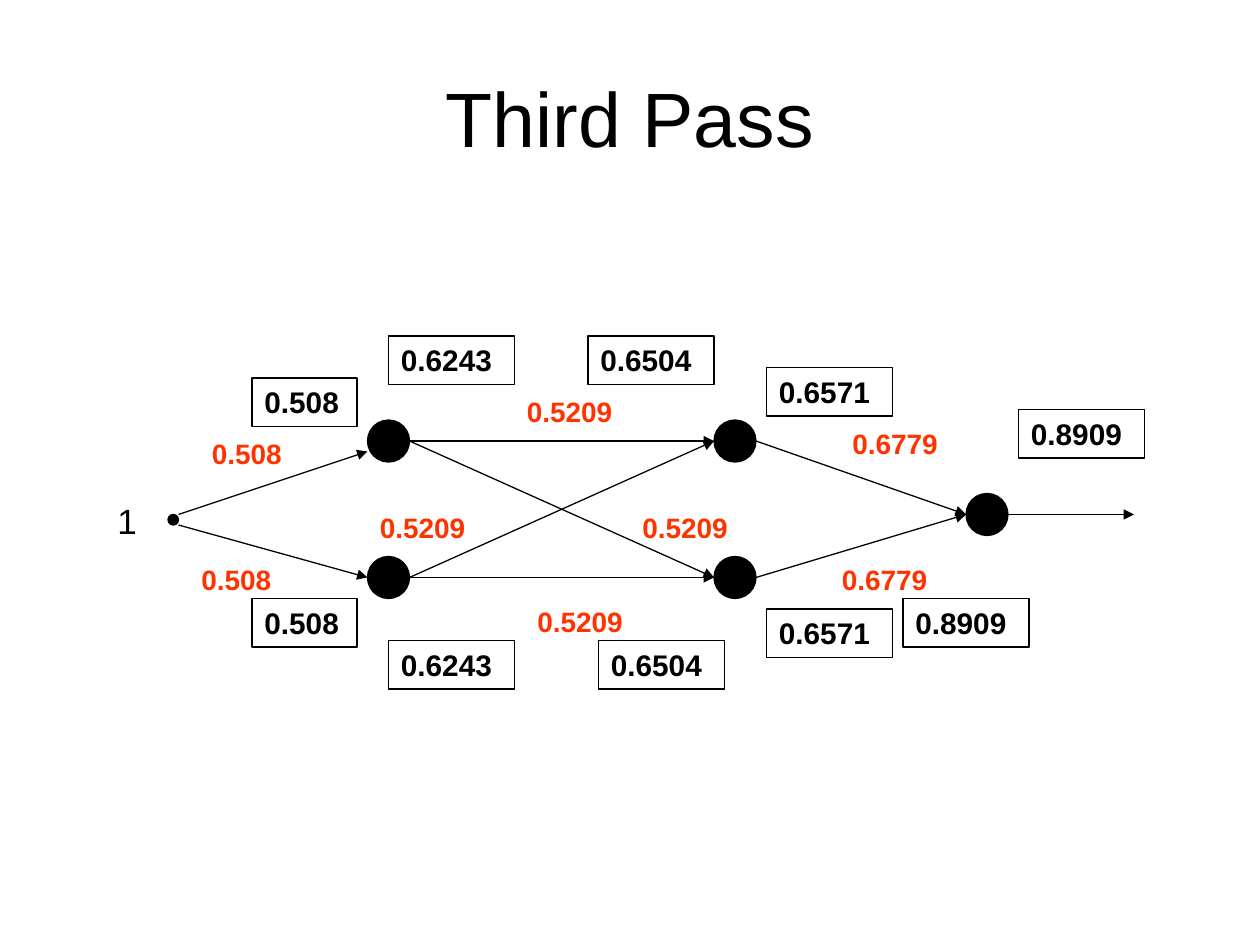
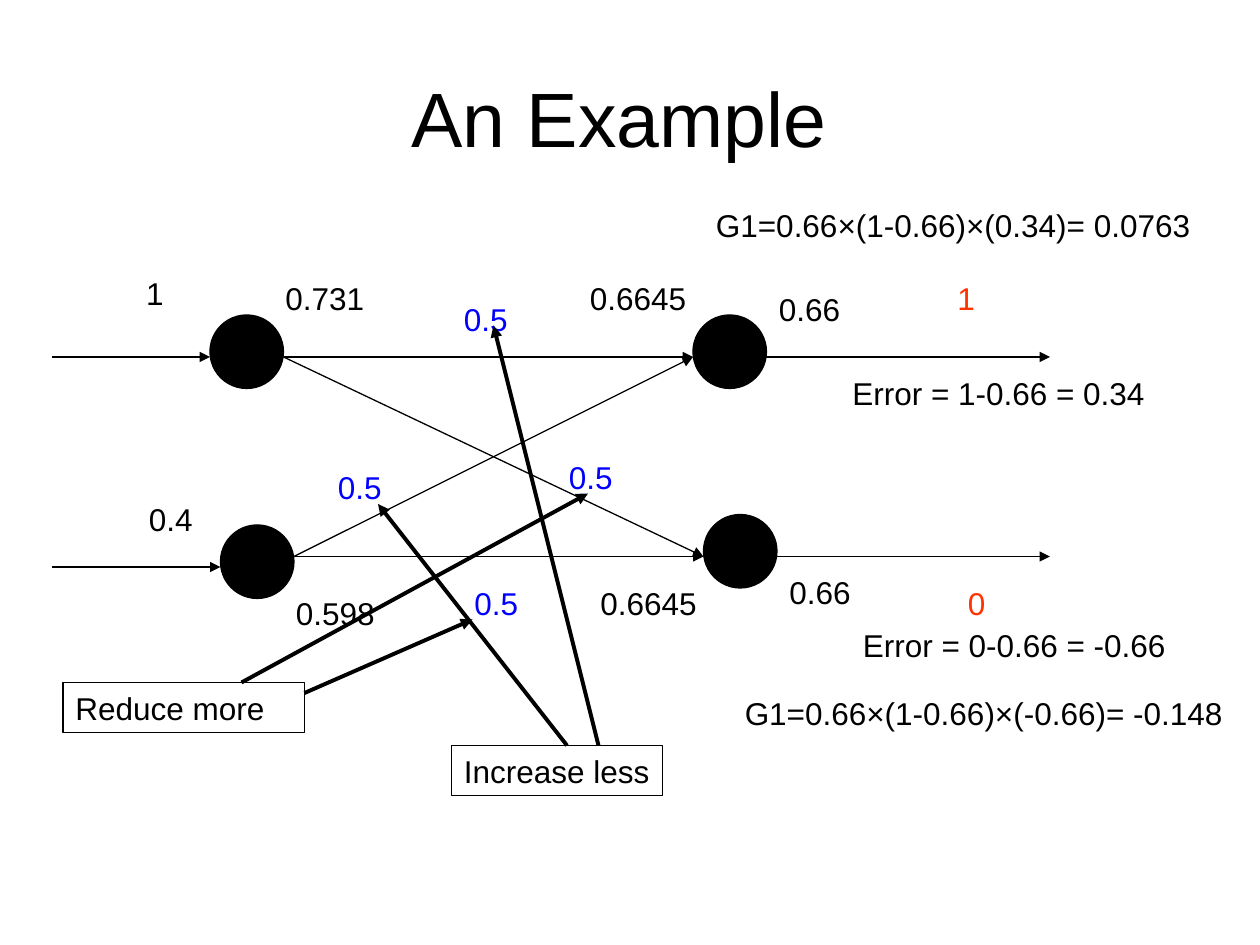
from pptx import Presentation
from pptx import util as u
from pptx.dml.color import RGBColor
from pptx.enum import shapes, text
from pptx.oxml import ns
from lxml import etree

PX = 9525  # EMU per px, 96 px to the inch
BLACK = RGBColor(0x00, 0x00, 0x00)
RED = RGBColor(0xFF, 0x33, 0x00)
BLUE = RGBColor(0x00, 0x00, 0xFF)
FONT = "Arial"
THIN, THICK = 0.75, 2.25


def add_text(page, words, left, top, width, height, size, color=BLACK,
             bold=False, boxed=False):
    """Add a left-aligned label, outlined when boxed, and return it."""
    place = [n * PX for n in (left, top, width, height)]
    if boxed:
        box = page.shapes.add_shape(shapes.MSO_SHAPE.RECTANGLE, *place)
        box.shadow.inherit = False
        box.fill.background()
        box.line.color.rgb = BLACK
        box.line.width = u.Pt(THIN)
    else:
        box = page.shapes.add_textbox(*place)
    frame = box.text_frame
    frame.text = words
    frame.word_wrap = True
    frame.vertical_anchor = text.MSO_ANCHOR.TOP
    para = frame.paragraphs[0]
    para.alignment = text.PP_ALIGN.LEFT
    font = para.runs[0].font
    font.name, font.size, font.bold = FONT, u.Pt(size), bold
    font.color.rgb = color
    return box


def add_arrow(page, x1, y1, x2, y2, weight=THIN):
    arrow = page.shapes.add_connector(
        shapes.MSO_CONNECTOR.STRAIGHT, x1 * PX, y1 * PX, x2 * PX, y2 * PX)
    arrow.line.color.rgb = BLACK
    arrow.line.width = u.Pt(weight)
    properties = arrow._element.spPr
    outline = properties.find(ns.qn("a:ln"))
    etree.SubElement(outline, ns.qn("a:tailEnd"), type="triangle")
    etree.SubElement(properties, ns.qn("a:effectLst"))


deck = Presentation()
deck.slide_width, deck.slide_height = 960 * PX, 720 * PX

# Title, neurons (left, top, diameter) and connections of each network
networks = [
    ("Third Pass",
     [(280, 320, 32), (280, 424, 32), (544, 320, 32), (544, 424, 32),
      (736, 376, 32), (128, 392, 8)],
     [(136, 392, 280, 344), (136, 400, 280, 440),
      *[(312, y1, 544, y2) for y1 in (336, 440) for y2 in (336, 440)],
      *[(576, y, 736, 392) for y in (336, 440)],
      (768, 392, 864, 392)]),
    # The closing space shifts the centred title slightly to the left
    ("An Example ",
     [(160, 240, 56), (168, 400, 56), (528, 240, 56), (536, 392, 56)],
     [(40, 272, 160, 272), (40, 432, 168, 432),
      *[(x1, y1, x2, y2) for x1, y1 in ((216, 272), (224, 424))
        for x2, y2 in ((528, 272), (536, 424))],
      (584, 272, 800, 272), (592, 424, 800, 424)]),
]
pages = []
for title, neurons, connections in networks:
    page = deck.slides.add_slide(deck.slide_layouts[6])
    pages.append(page)
    heading = add_text(page, title, 48, 29, 864, 120, 44)
    heading.text_frame.vertical_anchor = text.MSO_ANCHOR.MIDDLE
    heading.text_frame.paragraphs[0].alignment = text.PP_ALIGN.CENTER
    for left, top, diameter in neurons:
        neuron = page.shapes.add_shape(
            shapes.MSO_SHAPE.OVAL, left * PX, top * PX,
            diameter * PX, diameter * PX)
        neuron.shadow.inherit = False
        neuron.fill.solid()
        neuron.fill.fore_color.rgb = BLACK
        neuron.line.color.rgb = BLACK
        neuron.line.width = u.Pt(THIN)
    for connection in connections:
        add_arrow(page, *connection)

third_pass, example = pages

# Third Pass: weights on the connections, boxed neuron inputs and outputs
weights = [
    ("0.508", 152, 328, 88), ("0.508", 144, 424, 80),
    ("0.5209", 392, 296, 96), ("0.5209", 280, 384, 96),
    ("0.5209", 480, 384, 88), ("0.5209", 400, 456, 88),
    ("0.6779", 640, 320, 96), ("0.6779", 632, 424, 88),
]
for value, left, top, width in weights:
    add_text(third_pass, value, left, top, width, 36, 16, RED, bold=True)
add_text(third_pass, "1", 80, 376, 34, 42, 20)

activations = [
    ("0.508", 192, 288, 80), ("0.508", 192, 456, 80),
    ("0.6243", 296, 256, 96), ("0.6243", 296, 488, 96),
    ("0.6504", 448, 256, 96), ("0.6504", 456, 488, 96),
    ("0.6571", 584, 280, 96), ("0.6571", 584, 464, 96),
    ("0.8909", 688, 456, 96), ("0.8909", 776, 312, 96),
]
for value, left, top, width in activations:
    add_text(third_pass, value, left, top, width, 37, 17, bold=True, boxed=True)

# An Example: signals and errors, targets in red, weights in blue
signals = [
    ("1", 102, 204, 35, BLACK), ("0.4", 104, 376, 56, BLACK),
    ("0.731", 208, 208, 82, BLACK), ("0.598", 216, 448, 82, BLACK),
    ("0.6645", 440, 208, 96, BLACK), ("0.6645", 448, 440, 96, BLACK),
    ("0.66", 584, 216, 69, BLACK), ("0.66", 592, 432, 69, BLACK),
    ("1", 720, 208, 35, RED), ("0", 728, 440, 35, RED),
    ("Error = 1-0.66 = 0.34", 640, 280, 246, BLACK),
    ("Error = 0-0.66 = -0.66", 648, 472, 254, BLACK),
    ("G1=0.66×(1-0.66)×(0.34)= 0.0763", 536, 152, 386, BLACK),
    ("G1=0.66×(1-0.66)×(-0.66)= -0.148", 558, 524, 390, BLACK),
]
for words, left, top, width, color in signals:
    add_text(example, words, left, top, width, 38, 18, color)
for left, top in ((344, 224), (424, 344), (248, 352), (352, 440)):
    add_text(example, "0.5", left, top, 64, 38, 18, BLUE)

add_text(example, "Reduce more", 48, 520, 184, 38, 18, boxed=True)
add_text(example, "Increase less", 344, 568, 161, 38, 18, boxed=True)
for pointer in ((232, 528, 360, 472), (184, 520, 448, 376),
                (432, 568, 288, 384), (456, 568, 376, 248)):
    add_arrow(example, *pointer, THICK)

deck.save("out.pptx")
